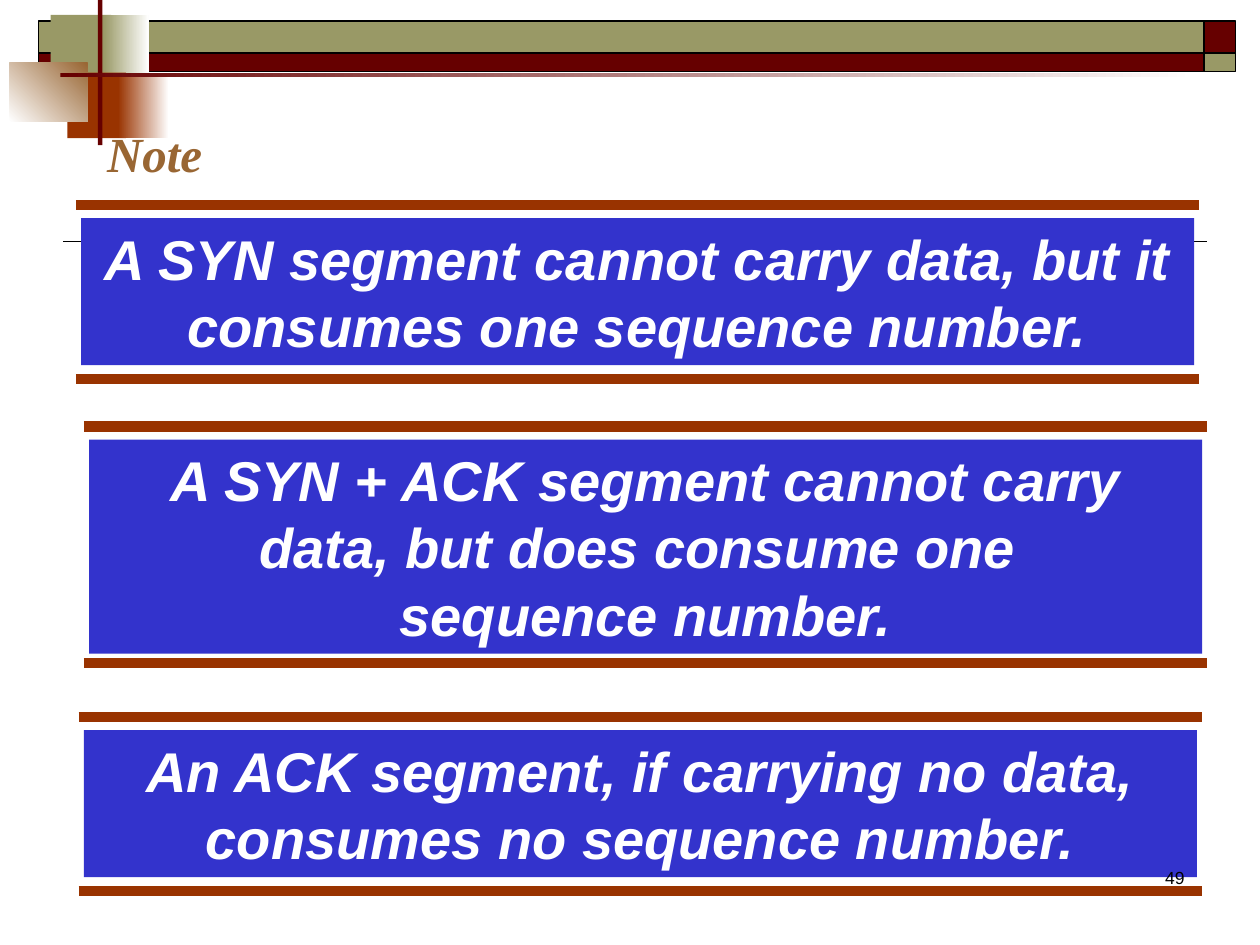
from pptx import Presentation
from pptx.dml.color import RGBColor
from pptx.enum.shapes import MSO_CONNECTOR as CONN, MSO_SHAPE as SHAPE
from pptx.enum.text import MSO_ANCHOR as ANCHOR, MSO_AUTO_SIZE as AUTO, PP_ALIGN as ALIGN
from pptx.oxml.ns import qn
from pptx.util import Pt

WHITE, BLACK = "FFFFFF", "000000"
OLIVE, MAROON, RUST, BROWN, BLUE = "999966", "660000", "993300", "996633", "3333CC"


def rgb(value):
    return RGBColor.from_string(value)


def add_rect(slide, x, y, w, h, fill, outline=None):
    sp = slide.shapes.add_shape(SHAPE.RECTANGLE, Pt(x), Pt(y), Pt(w), Pt(h))
    sp.shadow.inherit = False
    sp.fill.solid()
    sp.fill.fore_color.rgb = rgb(fill)
    if outline:
        sp.line.color.rgb = rgb(outline)
        sp.line.width = Pt(1)
    else:
        sp.line.fill.background()
    return sp


def add_fade(slide, x, y, w, h, start, end, angle=0):
    sp = add_rect(slide, x, y, w, h, start)
    sp.fill.gradient()
    sp.fill.gradient_angle = angle
    for stop, color in zip(sp.fill.gradient_stops, (start, end)):
        stop.color.rgb = rgb(color)


def add_rule(slide, x, y, w, color, weight):
    line = slide.shapes.add_connector(CONN.STRAIGHT, Pt(x), Pt(y), Pt(x + w), Pt(y))
    line.line.color.rgb = rgb(color)
    line.line.width = Pt(weight)
    sp_pr = line._element.spPr
    sp_pr.append(sp_pr.makeelement(qn("a:effectLst"), {}))


def set_text(sp, text, size, color, align, font="Arial", strong=True, wrap=True,
             anchor=ANCHOR.TOP):
    tf = sp.text_frame
    tf.text = text
    tf.word_wrap = wrap
    tf.auto_size = AUTO.NONE
    tf.vertical_anchor = anchor
    p = tf.paragraphs[0]
    p.alignment = align
    for r in p.runs:
        r.font.name = font
        r.font.size = Pt(size)
        r.font.bold = r.font.italic = strong
        r.font.color.rgb = rgb(color)


def add_banner(slide):
    # Checked bars across the top
    for y, h, colors in ((12, 18.5, (OLIVE, MAROON)), (30.5, 10.5, (MAROON, OLIVE))):
        for x, w, color in zip((22, 688), (666, 18), colors):
            add_rect(slide, x, y, w, h, color, BLACK)

    # Overlapping squares that fade out
    add_rect(slide, 29, 8.5, 34.5, 37.5, OLIVE)
    add_fade(slide, 59, 8.5, 26, 37.5, OLIVE, WHITE)
    add_rect(slide, 38.5, 41.5, 33.5, 37.5, RUST)
    add_fade(slide, 67.5, 41.5, 29, 37.5, RUST, WHITE)
    add_fade(slide, 5.5, 36, 44.5, 33.5, WHITE, BROWN, 45)

    # Crossing bars
    add_rect(slide, 56, 0, 2.5, 83, MAROON)
    add_fade(slide, 34.5, 41.5, 648, 2.5, MAROON, WHITE)


def add_note(slide, x, top, bottom, box_height, text):
    for y in (top, bottom):
        add_rule(slide, x, y, 642, RUST, 6)
    box = add_rect(slide, x + 3, top + 7.4, 636, box_height, BLUE)
    set_text(box, text, 32, WHITE, ALIGN.CENTER)


def main():
    prs = Presentation()
    prs.slide_width, prs.slide_height = Pt(720), Pt(540)
    slide = prs.slides.add_slide(prs.slide_layouts[5])

    # Background decoration
    add_rule(slide, 36, 138, 654, BLACK, 1)
    add_banner(slide)

    # Title
    title = slide.shapes.title
    title.left, title.top, title.width, title.height = Pt(54), Pt(67), Pt(69), Pt(41)
    set_text(title, "Note", 28, BROWN, ALIGN.LEFT, "Times New Roman", wrap=False,
             anchor=ANCHOR.MIDDLE)

    # Notes framed by thick rules
    notes = (
        (43.4, 117.2, 216.6, 84,
         "A SYN segment cannot carry data, but it consumes one sequence number."),
        (48, 243.8, 379, 122.4,
         "A SYN + ACK segment cannot carry data, but does consume one \vsequence number."),
        (45, 409.8, 509.2, 84,
         "An ACK segment, if carrying no data, consumes no sequence number."),
    )
    for note in notes:
        add_note(slide, *note)

    # Page number
    number = slide.shapes.add_textbox(Pt(534), Pt(492), Pt(150), Pt(36))
    set_text(number, "49", 10, BLACK, ALIGN.RIGHT, strong=False)

    prs.save("out.pptx")


if __name__ == "__main__":
    main()
